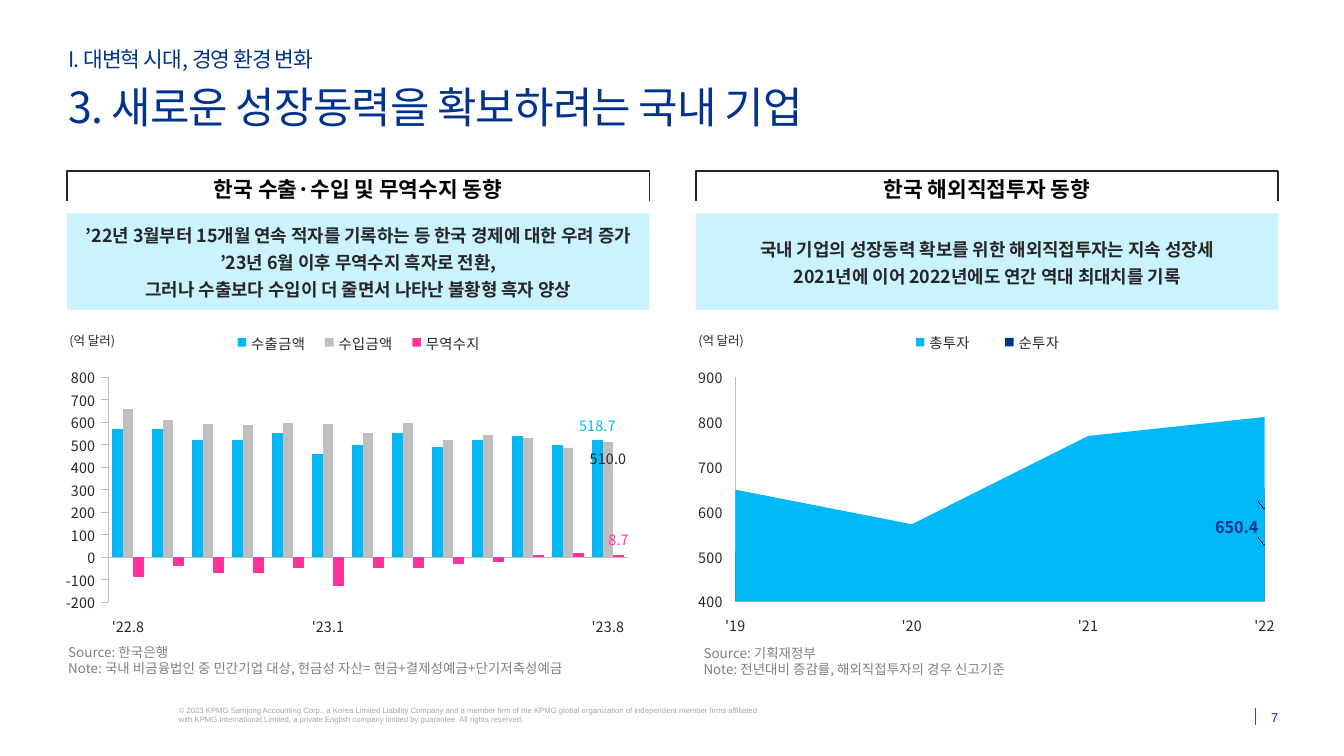
import pptx
import pptx.chart.data
import pptx.dml.color
import pptx.enum.chart
import pptx.enum.shapes
import pptx.enum.text
import pptx.oxml
import pptx.oxml.ns
import pptx.util
from dataclasses import dataclass

Inches, Pt = pptx.util.Inches, pptx.util.Pt
RGB = pptx.dml.color.RGBColor.from_string
qn = pptx.oxml.ns.qn
ALIGN, ANCHOR = pptx.enum.text.PP_ALIGN, pptx.enum.text.MSO_ANCHOR
CHART, TICK = pptx.enum.chart.XL_CHART_TYPE, pptx.enum.chart.XL_TICK_MARK
LABEL = pptx.enum.chart.XL_LABEL_POSITION


@dataclass(frozen=True)
class Theme:
    font: str = "Noto Sans CJK KR"
    footer_font: str = "Arial"
    navy: str = "00338D"
    cyan: str = "00B8F5"
    pink: str = "FD349C"
    pale: str = "CAF2FF"
    ink: str = "262626"
    black: str = "000000"
    silver: str = "BFBFBF"
    source: str = "808080"
    legal: str = "A6A6A6"
    rule: str = "1E49E2"
    title: float = 24
    heading: float = 12
    message: float = 10
    emphasis: float = 9
    chart: float = 8
    note: float = 7.5
    number: float = 7.2
    unit: float = 7
    copyright: float = 4.3


THEME = Theme()


def set_all(target, **values):
    for name, value in values.items():
        setattr(target, name, value)


def style(font, size, color, bold=False, name=THEME.font):
    set_all(font, size=Pt(size), bold=bold, name=name)
    font.color.rgb = RGB(color)


def place(part, box):
    for name, value in zip(("left", "top", "width", "height"), box):
        setattr(part, name, Inches(value))


def write(part, lines, size, color, bold=False, name=THEME.font, align=ALIGN.LEFT,
          anchor=ANCHOR.TOP, margins=(0, 0), spacing=1.0, after=0, tracking=0):
    side, top = (Inches(value) for value in margins)
    frame = part.text_frame
    frame.text = "\n".join(lines)
    set_all(frame, word_wrap=True, auto_size=pptx.enum.text.MSO_AUTO_SIZE.NONE,
            vertical_anchor=anchor, margin_left=side, margin_right=side,
            margin_top=top, margin_bottom=top)
    for paragraph in frame.paragraphs:
        set_all(paragraph, alignment=align, line_spacing=spacing,
                space_before=Pt(0), space_after=Pt(after))
        if part.is_placeholder:
            properties = paragraph._p.get_or_add_pPr()
            properties.set("marL", "0")
            properties.set("indent", "0")
            properties.append(pptx.oxml.parse_xml(
                f'<a:buNone {pptx.oxml.ns.nsdecls("a")}/>'))
        for run in paragraph.runs:
            style(run.font, size, color, bold, name)
            if tracking:
                run._r.get_or_add_rPr().set("spc", str(int(tracking * 100)))


def add_text(slide, box, lines, size, color, **options):
    text = slide.shapes.add_textbox(*map(Inches, box))
    write(text, lines, size, color, **options)


def set_layout(parent, index, values, edge=True, inner=False):
    for old in parent.findall(qn("c:layout")):
        parent.remove(old)
    modes = '<c:xMode val="edge"/><c:yMode val="edge"/>' if edge else ""
    target = '<c:layoutTarget val="inner"/>' if inner else ""
    sizes = "".join(f'<c:{key} val="{value}"/>' for key, value in zip("xywh", values))
    parent.insert(index, pptx.oxml.parse_xml(
        f'<c:layout {pptx.oxml.ns.nsdecls("c")}><c:manualLayout>{target}{modes}{sizes}'
        "</c:manualLayout></c:layout>"))


def add_east_asian_font(root):
    for latin in list(root.iter(qn("a:latin"))):
        latin.addnext(pptx.oxml.parse_xml(
            f'<a:ea {pptx.oxml.ns.nsdecls("a")} typeface="{latin.get("typeface")}"/>'))


def add_trend_chart(slide, box, kind, categories, series, limits, plot_box, legend_box):
    data = pptx.chart.data.CategoryChartData(number_format="#,##0.0")
    data.categories = categories
    for name, values, *_ in series:
        data.add_series(name, values)
    chart = slide.shapes.add_chart(kind, *map(Inches, box), data).chart
    style(chart.font, THEME.chart, THEME.ink)
    set_all(chart, has_title=False, has_legend=True)
    set_all(chart.legend, position=pptx.enum.chart.XL_LEGEND_POSITION.TOP,
            include_in_layout=False)
    style(chart.legend.font, THEME.chart, THEME.ink)

    # Axes
    columns = kind == CHART.COLUMN_CLUSTERED
    value_tick = TICK.OUTSIDE if columns else TICK.NONE
    for axis, tick in ((chart.category_axis, TICK.NONE), (chart.value_axis, value_tick)):
        set_all(axis, has_major_gridlines=False, major_tick_mark=tick,
                minor_tick_mark=TICK.NONE,
                tick_label_position=pptx.enum.chart.XL_TICK_LABEL_POSITION.LOW)
        style(axis.tick_labels.font, THEME.chart, THEME.ink)
        axis.format.line.color.rgb = RGB(THEME.silver)
        axis.format.line.width = Pt(0.25)
    low, high = limits
    set_all(chart.value_axis, minimum_scale=low, maximum_scale=high, major_unit=100)
    set_all(chart.value_axis.tick_labels, number_format="#,##0", number_format_is_linked=False)

    # Series and the label on each last point
    plot = chart.plots[0]
    plot.vary_by_categories = False
    if columns:
        set_all(plot, gap_width=79, overlap=0)
    else:
        chart.element.find(".//" + qn("c:crossBetween")).set("val", "midCat")
    for drawn, (_, values, fill, label_color, label_text, position) in zip(plot.series, series):
        drawn.format.fill.solid()
        drawn.format.fill.fore_color.rgb = RGB(fill)
        drawn.data_labels.show_value = False
        label = drawn.points[len(values) - 1].data_label
        size = THEME.chart if columns else THEME.emphasis
        if label_text:
            label.text_frame.text = label_text
            style(label.text_frame.paragraphs[0].runs[0].font, size, label_color)
        else:
            style(label.font, size, label_color, bold=not columns)
        if position is not None:
            label.position = position
    if not columns:
        for label in chart.element.iter(qn("c:dLbl")):
            set_layout(label, 1, (-0.045, -0.058), edge=False)
    set_layout(chart.element.find(".//" + qn("c:plotArea")), 0, plot_box, inner=True)
    set_layout(chart.element.find(".//" + qn("c:legend")), 1, legend_box)
    add_east_asian_font(chart.element)


def add_header(slide, box):
    left, top, width, _ = box
    add_text(slide, (left, top, width, 0.2), ["I. 대변혁 시대, 경영 환경 변화"],
             THEME.heading, THEME.navy, anchor=ANCHOR.BOTTOM, tracking=-0.5)
    title = slide.shapes.title
    place(title, (left, top + 0.32, width, 0.35))
    write(title, ["3. 새로운 성장동력을 확보하려는 국내 기업"], THEME.title, THEME.navy,
          anchor=ANCHOR.BOTTOM, tracking=-0.5)


def add_panel(slide, box, heading, message, heading_text, message_lines, unit_width,
              notes, notes_box):
    left, top, width, _ = box
    # Bracketed heading
    right, bottom = left + width, top + 0.23
    builder = slide.shapes.build_freeform(Inches(left), Inches(bottom))
    builder.add_line_segments([(Inches(x), Inches(y)) for x, y in
                               ((left, top), (right, top), (right, bottom))], close=False)
    bracket = builder.convert_to_shape()
    bracket.shadow.inherit = False
    bracket.fill.background()
    bracket.line.color.rgb = RGB(THEME.ink)
    bracket.line.width = Pt(1)
    place(heading, (left, top, width, 0.24))
    write(heading, [heading_text], THEME.heading, THEME.black, bold=True,
          align=ALIGN.CENTER, anchor=ANCHOR.BOTTOM)
    # Key message
    place(message, (left, top + 0.33, width, 0.75))
    message.fill.solid()
    message.fill.fore_color.rgb = RGB(THEME.pale)
    write(message, message_lines, THEME.message, THEME.ink, bold=True, align=ALIGN.CENTER,
          anchor=ANCHOR.MIDDLE, margins=(0.12, 0.08), spacing=1.1, after=2)
    # Unit and source
    add_text(slide, (left + 0.02, top + 1.25, unit_width, 0.25), ["(억 달러)"],
             THEME.unit, THEME.ink, spacing=1.1)
    add_text(slide, notes_box, notes, THEME.note, THEME.source, margins=(0, 0.08))


def add_footer(slide, box):
    left, top, width, height = box
    add_text(slide, (left, top - 0.02, 4.57, 0.15), [
        "© 2023 KPMG Samjong Accounting Corp., a Korea Limited Liability Company and a member "
        "firm of the KPMG global organization of independent member firms affiliated with KPMG "
        "International Limited, a private English company limited by guarantee. "
        "All rights reserved."], THEME.copyright, THEME.legal, name=THEME.footer_font)
    right = left + width
    divider = slide.shapes.add_connector(
        pptx.enum.shapes.MSO_CONNECTOR.STRAIGHT,
        *map(Inches, (right - 0.18, top, right - 0.18, top + height)))
    divider.line.color.rgb = RGB(THEME.rule)
    divider.line.width = Pt(0.5)
    divider._element.spPr.append(pptx.oxml.parse_xml(
        f'<a:effectLst {pptx.oxml.ns.nsdecls("a")}/>'))
    add_text(slide, (right - 0.26, top, 0.26, height), ["7"], THEME.number, THEME.navy,
             name=THEME.footer_font, align=ALIGN.RIGHT, anchor=ANCHOR.BOTTOM)


def main():
    deck = pptx.Presentation()
    set_all(deck, slide_width=Inches(10.45), slide_height=Inches(5.88))
    slide = deck.slides.add_slide(deck.slide_layouts.get_by_name("Comparison"))
    _, trade_heading, trade_message, invest_heading, invest_message = slide.placeholders
    add_header(slide, (0.53, 0.36, 9.76, 0.67))

    # Trade panel
    add_panel(slide, (0.52, 1.33, 4.53, 3.93), trade_heading, trade_message,
              "한국 수출·수입 및 무역수지 동향",
              ["’22년 3월부터 15개월 연속 적자를 기록하는 등 한국 경제에 대한 우려 증가",
               "’23년 6월 이후 무역수지 흑자로 전환,",
               "그러나 수출보다 수입이 더 줄면서 나타난 불황형 흑자 양상"], 0.51,
              ["Source: 한국은행",
               "Note: 국내 비금융법인 중 민간기업 대상, 현금성 자산= 현금+결제성예금+단기저축성예금"],
              (0.53, 4.93, 4.69, 0.33))
    exports = (570, 570, 520, 520, 550, 460, 500, 550, 490, 520, 540, 500, 520)
    imports = (660.3, 610.1, 591.7, 588.5, 596.2, 589.6, 553.6, 596.4, 522.2, 543.2,
               530.9, 486.9, 510.0)
    balance = (-90, -40, -70, -70, -50, -130, -50, -50, -30, -20, 10, 20, 10)
    add_trend_chart(
        slide, (0.44, 2.47, 4.61, 2.76), CHART.COLUMN_CLUSTERED,
        ["'22.8", *[""] * 4, "'23.1", *[""] * 6, "'23.8"],
        [("수출금액", exports, THEME.cyan, THEME.cyan, "518.7", LABEL.OUTSIDE_END),
         ("수입금액", imports, THEME.silver, THEME.ink, None, LABEL.INSIDE_END),
         ("무역수지", balance, THEME.pink, THEME.pink, "8.7", LABEL.OUTSIDE_END)],
        (-200, 800), (0.087, 0.168, 0.877, 0.634), (0.28, 0.03, 0.46, 0.08))

    # Investment panel
    add_panel(slide, (5.41, 1.33, 4.53, 3.94), invest_heading, invest_message,
              "한국 해외직접투자 동향",
              ["국내 기업의 성장동력 확보를 위한 해외직접투자는 지속 성장세",
               "2021년에 이어 2022년에도 연간 역대 최대치를 기록"], 0.39,
              ["Source: 기획재정부", "Note: 전년대비 증감률, 해외직접투자의 경우 신고기준"],
              (5.47, 4.94, 2.99, 0.33))
    add_trend_chart(
        slide, (5.24, 2.43, 4.83, 2.57), CHART.AREA, ["'19", "'20", "'21", "'22"],
        [("총투자", (648.5, 571.4, 768.7, 810.9), THEME.cyan, THEME.cyan, None, None),
         ("순투자", (512, 422.9, 589.3, 650.4), THEME.navy, THEME.navy, None, None)],
        (400, 900), (0.099, 0.196, 0.852, 0.678), (0.34, 0.05, 0.33, 0.08))

    add_footer(slide, (1.39, 5.51, 8.55, 0.13))
    add_east_asian_font(slide.element)
    deck.save("out.pptx")


if __name__ == "__main__":
    main()
